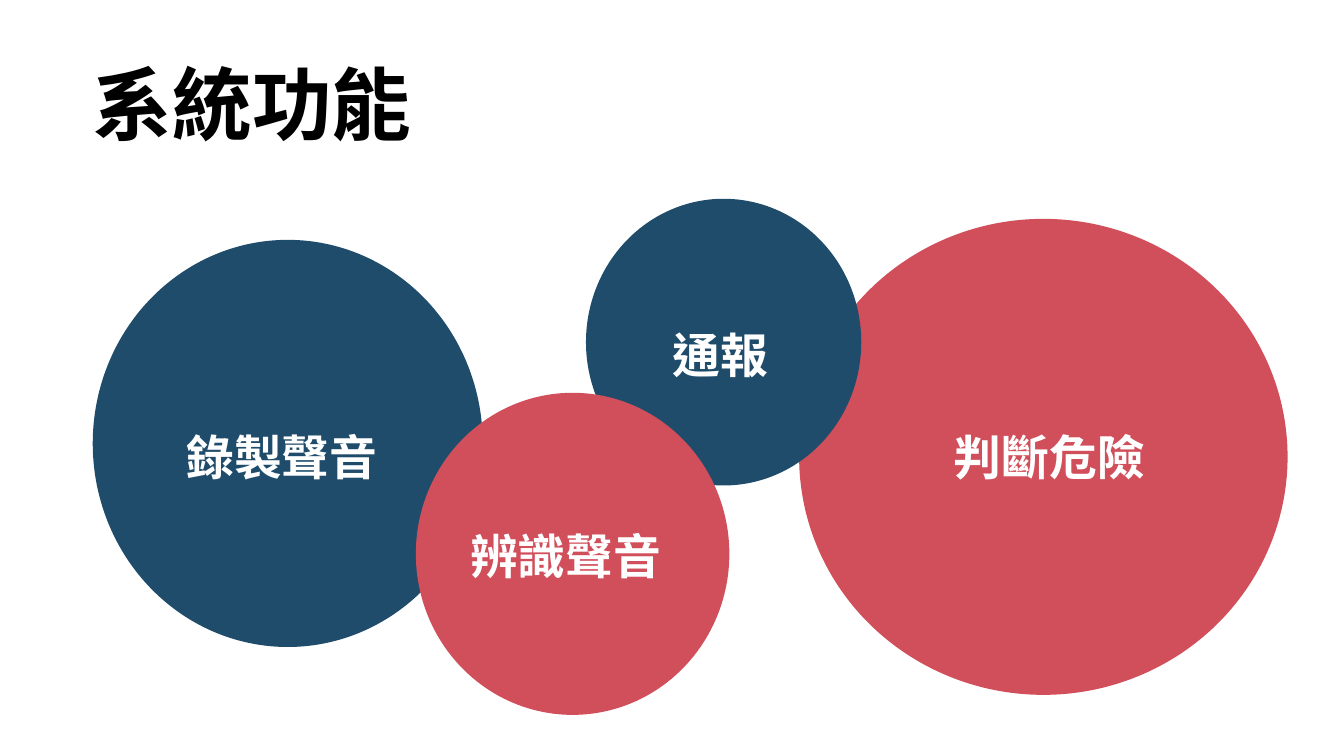
from dataclasses import dataclass

from pptx import Presentation
from pptx.dml.color import RGBColor
from pptx.enum.lang import MSO_LANGUAGE_ID
from pptx.enum.shapes import MSO_SHAPE
from pptx.enum.text import MSO_ANCHOR
from pptx.util import Emu, Pt

EMU_PER_PX = 9144  # 100 px to the inch
BLANK_LAYOUT = 6


@dataclass(frozen=True)
class Theme:
    navy: RGBColor = RGBColor(0x1F, 0x4C, 0x6B)
    coral: RGBColor = RGBColor(0xD1, 0x4E, 0x5B)
    black: RGBColor = RGBColor(0, 0, 0)
    white: RGBColor = RGBColor(0xFF, 0xFF, 0xFF)
    title_font: str = "Arial"
    label_font: str = "Calibri"
    title_size: int = 60
    label_size: int = 36


THEME = Theme()

# Back to front: label, circle bounds, label bounds, fill
FUNCTIONS = [
    ("錄製聲音", (97, 251, 408, 426), (185, 438, 270, 81), THEME.navy),
    ("判斷危險", (836, 229, 511, 498), (988, 437, 328, 81), THEME.coral),
    ("通報", (613, 208, 288, 300), (694, 331, 233, 81), THEME.navy),
    ("辨識聲音", (435, 411, 328, 337), (482, 541, 328, 81), THEME.coral),
]


def px(length):
    return Emu(length * EMU_PER_PX)


def add_circle(slide, bounds, color):
    circle = slide.shapes.add_shape(MSO_SHAPE.OVAL, *map(px, bounds))
    circle.shadow.inherit = False
    circle.fill.solid()
    circle.fill.fore_color.rgb = color
    circle.line.fill.background()


def add_text(slide, text, bounds, font_name, size, color, inset, anchor):
    box = slide.shapes.add_textbox(*map(px, bounds))
    frame = box.text_frame
    frame.word_wrap = True
    frame.vertical_anchor = anchor
    frame.margin_left = frame.margin_right = px(inset)
    frame.margin_top = frame.margin_bottom = px(inset)
    frame.text = text
    font = frame.paragraphs[0].runs[0].font
    font.name = font_name
    font.size = Pt(size)
    font.bold = True
    font.color.rgb = color
    font.language_id = MSO_LANGUAGE_ID.TRADITIONAL_CHINESE


def add_title(slide, text, bounds):
    add_text(slide, text, bounds, THEME.title_font, THEME.title_size,
             THEME.black, 0, MSO_ANCHOR.MIDDLE)


def add_label(slide, text, bounds):
    add_text(slide, text, bounds, THEME.label_font, THEME.label_size,
             THEME.white, 10, MSO_ANCHOR.TOP)


def main():
    deck = Presentation()
    deck.slide_width, deck.slide_height = px(1406), px(791)
    slide = deck.slides.add_slide(deck.slide_layouts[BLANK_LAYOUT])

    add_title(slide, "系統功能", (97, 57, 359, 101))
    for text, circle_bounds, label_bounds, color in FUNCTIONS:
        add_circle(slide, circle_bounds, color)
        add_label(slide, text, label_bounds)

    deck.save("out.pptx")


if __name__ == "__main__":
    main()
